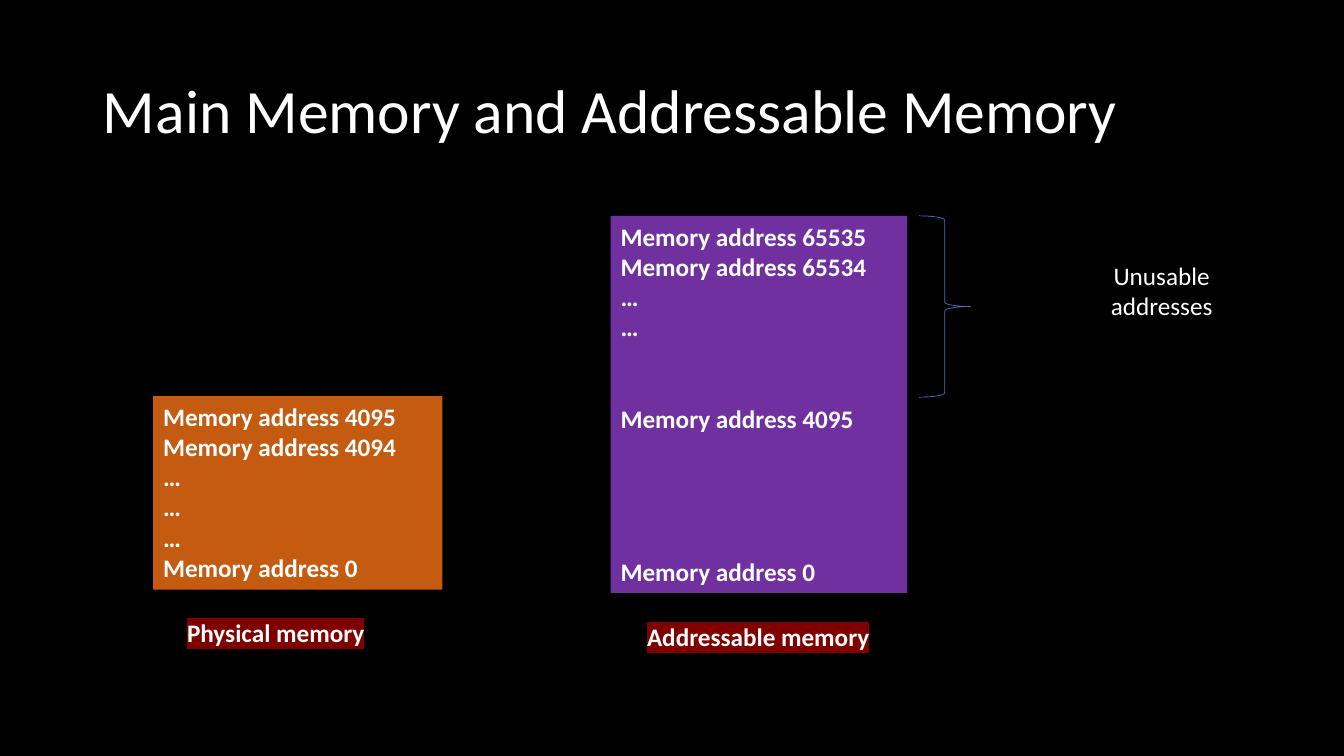
from lxml.etree import Element, SubElement
from pptx import Presentation
from pptx.dml.color import RGBColor
from pptx.enum.shapes import MSO_SHAPE as Shape
from pptx.enum.text import MSO_ANCHOR as Anchor, MSO_AUTO_SIZE as AutoSize, PP_ALIGN as Align
from pptx.oxml.ns import qn
from pptx.util import Cm, Pt

BLACK = RGBColor(0x00, 0x00, 0x00)
WHITE = RGBColor(0xFF, 0xFF, 0xFF)
ORANGE = RGBColor(0xC5, 0x5A, 0x11)
PURPLE = RGBColor(0x70, 0x30, 0xA0)
BLUE = RGBColor(0x44, 0x72, 0xC4)
MAROON = RGBColor(0x80, 0x00, 0x00)
LINE_HEIGHT = 21.97
MEMORY_TOP = 5.44


class MemorySlide:
    font_name = "Calibri"
    text_size = 18
    title_size = 44

    def __init__(self, presentation):
        self.slide = presentation.slides.add_slide(presentation.slide_layouts[5])
        fill = self.slide.background.fill
        fill.solid()
        fill.fore_color.rgb = BLACK

    def style_runs(self, paragraph, size, bold=False):
        for run in paragraph.runs:
            run.font.name = self.font_name
            run.font.size = Pt(size)
            run.font.bold = bold
            run.font.color.rgb = WHITE

    def title(self, text, left, top, width, height):
        shape = self.slide.shapes.title
        shape.left, shape.top, shape.width, shape.height = map(Cm, (left, top, width, height))
        frame = shape.text_frame
        frame.text = text
        frame.auto_size = AutoSize.NONE
        frame.vertical_anchor = Anchor.MIDDLE
        paragraph = frame.paragraphs[0]
        paragraph.alignment = Align.LEFT
        paragraph.line_spacing = 0.9
        self.style_runs(paragraph, self.title_size)

    def shape(self, kind, left, top, width, height, fill=None, line=None, line_width=1):
        shape = self.slide.shapes.add_shape(kind, *map(Cm, (left, top, width, height)))
        shape.shadow.inherit = False
        if fill is None:
            shape.fill.background()
        else:
            shape.fill.solid()
            shape.fill.fore_color.rgb = fill
        if line is None:
            shape.line.fill.background()
        else:
            shape.line.color.rgb = line
            shape.line.width = Pt(line_width)
        return shape

    def memory(self, lines, left, top, width, height, fill, gaps):
        frame = self.shape(Shape.RECTANGLE, left, top, width, height, fill).text_frame
        frame.text = "\n".join(lines)
        frame.word_wrap = True
        frame.auto_size = AutoSize.NONE
        frame.vertical_anchor = Anchor.TOP
        for index, paragraph in enumerate(frame.paragraphs):
            paragraph.alignment = Align.LEFT
            if index in gaps:
                paragraph.space_before = Pt(gaps[index] * LINE_HEIGHT)
            self.style_runs(paragraph, self.text_size, bold=True)

    def brace(self, left, top, width, height):
        self.shape(Shape.RIGHT_BRACE, left, top, width, height, line=BLUE, line_width=0.5)

    def callout(self, text, left, top, width, height):
        shape = self.shape(Shape.RECTANGULAR_CALLOUT, left, top, width, height, BLACK, BLACK)
        shape.adjustments[0] = -1.04
        shape.adjustments[1] = 0.1
        frame = shape.text_frame
        frame.text = text
        frame.word_wrap = True
        frame.vertical_anchor = Anchor.MIDDLE
        frame.paragraphs[0].alignment = Align.CENTER
        self.style_runs(frame.paragraphs[0], self.text_size)

    def label(self, text, left, top, width, height=1.02):
        frame = self.slide.shapes.add_textbox(*map(Cm, (left, top, width, height))).text_frame
        frame.text = text
        frame.word_wrap = True
        frame.auto_size = AutoSize.SHAPE_TO_FIT_TEXT
        paragraph = frame.paragraphs[0]
        paragraph.alignment = Align.CENTER
        self.style_runs(paragraph, self.text_size, bold=True)
        highlight = Element(qn("a:highlight"))
        SubElement(highlight, qn("a:srgbClr"), val=str(MAROON))
        properties = paragraph.runs[0].font._element
        properties.find(qn("a:solidFill")).addnext(highlight)


def main():
    presentation = Presentation()
    presentation.slide_width = Cm(33.87)
    presentation.slide_height = Cm(19.05)
    slide = MemorySlide(presentation)
    slide.title("Main Memory and Addressable Memory", 2.34, 1.02, 29.21, 3.68)
    physical = ["Memory address 4095", "Memory address 4094", "…", "…", "…", "Memory address 0"]
    addressable = ["Memory address 65535", "Memory address 65534", "…", "…",
                   "Memory address 4095", "Memory address 0"]
    slide.memory(physical, 3.86, 9.98, 7.29, 4.88, ORANGE, {})
    slide.memory(addressable, 15.39, MEMORY_TOP, 7.47, 9.5, PURPLE, {4: 2, 5: 4})
    slide.brace(23.16, MEMORY_TOP, 1.3, 4.57)
    slide.callout("Unusable addresses", 27, MEMORY_TOP, 4.55, 3.76)
    slide.label("Physical memory", 4.22, 15.42, 5.46)
    slide.label("Addressable memory", 16, 15.52, 6.22)
    presentation.save("out.pptx")


if __name__ == "__main__":
    main()
